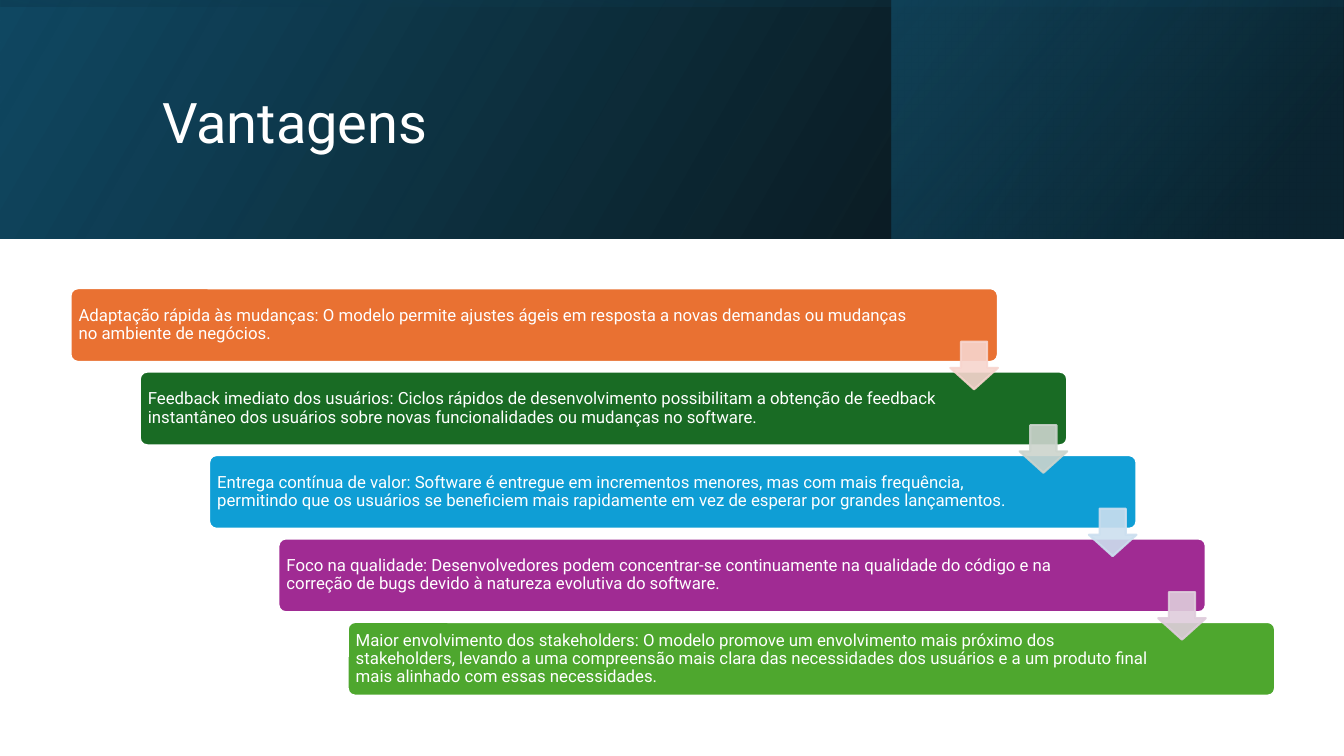
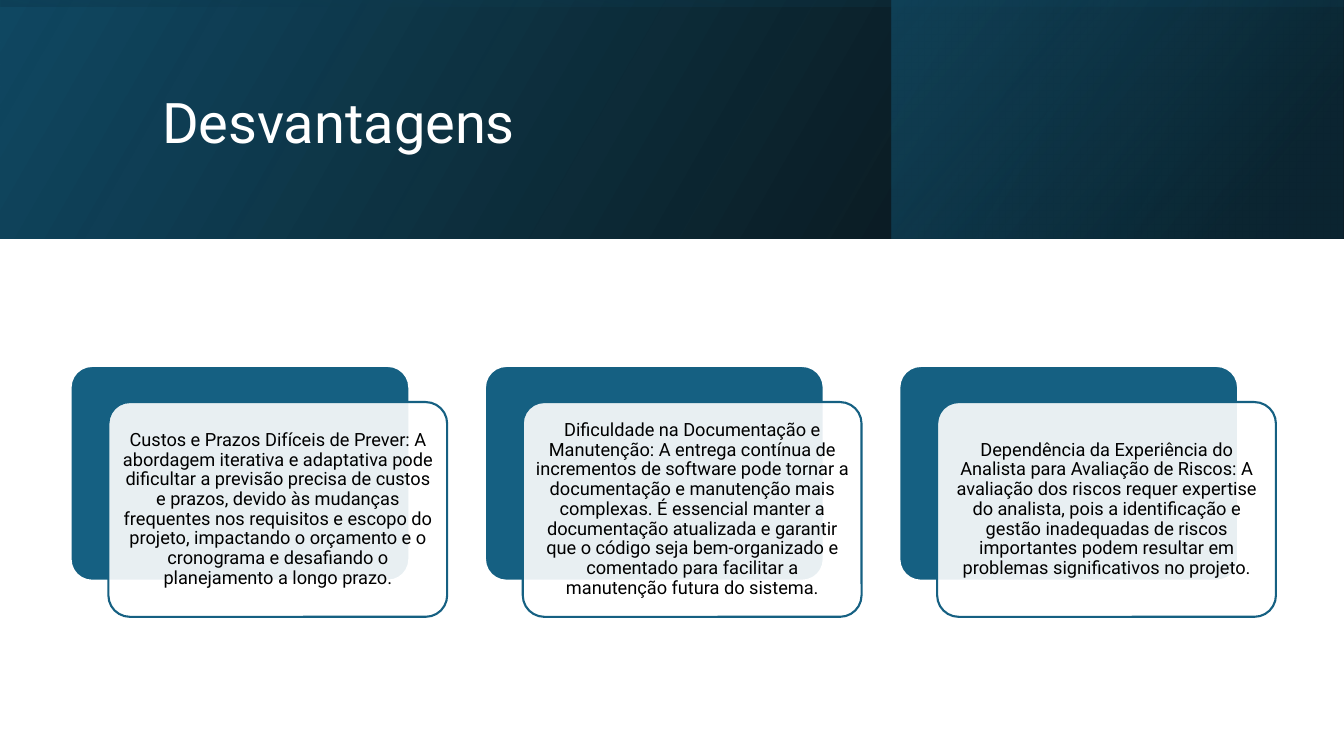
"""Builds two slides on the advantages and drawbacks of a software process model."""
import pptx
import pptx.dml.color
import pptx.enum.shapes
import pptx.enum.text
import pptx.oxml.ns
import pptx.util
import lxml.etree

Pt = pptx.util.Pt
RGBColor = pptx.dml.color.RGBColor
SHAPE = pptx.enum.shapes.MSO_SHAPE
ALIGN = pptx.enum.text.PP_ALIGN
qn = pptx.oxml.ns.qn

WHITE = RGBColor(0xFF, 0xFF, 0xFF)
BLACK = RGBColor(0x00, 0x00, 0x00)
NAVY = RGBColor(0x10, 0x48, 0x62)
DEEP_NAVY = RGBColor(0x0B, 0x30, 0x41)
TEAL = RGBColor(0x15, 0x60, 0x82)
ORANGE = RGBColor(0xE9, 0x71, 0x32)
DARK_GREEN = RGBColor(0x19, 0x6B, 0x24)
BLUE = RGBColor(0x0F, 0x9E, 0xD5)
PURPLE = RGBColor(0xA0, 0x2B, 0x93)
GREEN = RGBColor(0x4E, 0xA7, 0x2E)
PALE_ORANGE = RGBColor(0xF7, 0xD5, 0xCE)
PALE_GREEN = RGBColor(0xCC, 0xD4, 0xCD)
PALE_BLUE = RGBColor(0xCC, 0xDF, 0xEF)
PALE_PURPLE = RGBColor(0xDF, 0xCD, 0xDC)

FONT = "Roboto"
SLIDE_WIDTH, SLIDE_HEIGHT = 960, 540
HEADER_HEIGHT = 170.6
MARGIN = 50.4

BAR_WIDTH, BAR_HEIGHT = 662.4, 52.6
BAR_TOP, BAR_STEP_X, BAR_STEP_Y = 205.9, 49.5, 59.6
ARROW_SIZE, ARROW_DROP = 34, 38.2
CARD_WIDTH, CARD_HEIGHT = 242, 153.4
CARD_TOP, CARD_STEP = 261.4, 296
CARD_SHIFT_X, CARD_SHIFT_Y = 27, 25.8

ADVANTAGES = [
    (ORANGE, 62.5, "Adaptação rápida às mudanças: O modelo permite ajustes ágeis em resposta a "
     "novas demandas ou mudanças no ambiente de negócios."),
    (DARK_GREEN, 86.5, "Feedback imediato dos usuários: Ciclos rápidos de desenvolvimento "
     "possibilitam a obtenção de feedback instantâneo dos usuários sobre novas "
     "funcionalidades ou mudanças no software."),
    (BLUE, 86.5, "Entrega contínua de valor: Software é entregue em incrementos menores, mas com "
     "mais frequência, permitindo que os usuários se beneficiem mais rapidamente em vez de "
     "esperar por grandes lançamentos."),
    (PURPLE, 86.5, "Foco na qualidade: Desenvolvedores podem concentrar-se continuamente na "
     "qualidade do código e na correção de bugs devido à natureza evolutiva do software."),
    (GREEN, 86.5, "Maior envolvimento dos stakeholders: O modelo promove um envolvimento mais "
     "próximo dos stakeholders, levando a uma compreensão mais clara das necessidades dos "
     "usuários e a um produto final mais alinhado com essas necessidades."),
]
ARROW_COLORS = [PALE_ORANGE, PALE_GREEN, PALE_BLUE, PALE_PURPLE]
DRAWBACKS = [
    "Custos e Prazos Difíceis de Prever: A abordagem iterativa e adaptativa pode dificultar a "
    "previsão precisa de custos e prazos, devido às mudanças frequentes nos requisitos e escopo "
    "do projeto, impactando o orçamento e o cronograma e desafiando o planejamento a longo prazo.",
    "Dificuldade na Documentação e Manutenção: A entrega contínua de incrementos de software "
    "pode tornar a documentação e manutenção mais complexas. É essencial manter a documentação "
    "atualizada e garantir que o código seja bem-organizado e comentado para facilitar a "
    "manutenção futura do sistema.",
    "Dependência da Experiência do Analista para Avaliação de Riscos: A avaliação dos riscos "
    "requer expertise do analista, pois a identificação e gestão inadequadas de riscos "
    "importantes podem resultar em problemas significativos no projeto.",
]


def write_text(shape, text, size, color, align=ALIGN.LEFT, insets=(3.6, 3.6, 3.6, 3.6)):
    """Put one formatted, vertically centred paragraph into a shape."""
    frame = shape.text_frame
    frame.word_wrap = True
    frame.vertical_anchor = pptx.enum.text.MSO_ANCHOR.MIDDLE
    frame.margin_left, frame.margin_top, frame.margin_right, frame.margin_bottom = map(Pt, insets)
    paragraph = frame.paragraphs[0]
    paragraph.alignment = align
    paragraph.line_spacing = 0.9
    run = paragraph.add_run()
    run.text = text
    run.font.name = FONT
    run.font.size = Pt(size)
    run.font.color.rgb = color


def set_opacity(color_element, percent):
    """Make a colour element partly transparent."""
    alpha = lxml.etree.SubElement(color_element, qn("a:alpha"))
    alpha.set("val", str(percent * 1000))


class Deck:
    """Hold the presentation, its style and the current slide."""

    def __init__(self):
        """Start an empty widescreen presentation."""
        self.presentation = pptx.Presentation()
        self.presentation.slide_width = Pt(SLIDE_WIDTH)
        self.presentation.slide_height = Pt(SLIDE_HEIGHT)
        self.slide = None

    def start_slide(self, title):
        """Add a slide with the shaded header and its title."""
        self.slide = self.presentation.slides.add_slide(self.presentation.slide_layouts[6])
        middle = (SLIDE_WIDTH - HEADER_HEIGHT) / 2
        self.gradient_band(0, 0, SLIDE_WIDTH, HEADER_HEIGHT, 330,
                           [(0, BLACK, 96), (1, NAVY, 100)])
        self.gradient_band(636.6, 0, 322.8, HEADER_HEIGHT, 320,
                           [(0.19, DEEP_NAVY, 68), (1, TEAL, 48)])
        self.gradient_band(middle, -middle, HEADER_HEIGHT, SLIDE_WIDTH, 350,
                           [(0.23, NAVY, 16), (0.99, BLACK, 45)], rotation=270)
        box = self.slide.shapes.add_textbox(Pt(108.7), Pt(27.4), Pt(765.4), Pt(123.8))
        write_text(box, title, 40, WHITE, insets=(7.2, 3.6, 7.2, 3.6))

    def gradient_band(self, left, top, width, height, angle, stops, rotation=0):
        """Draw a mirrored rectangle with a two-stop gradient."""
        band = self.slide.shapes.add_shape(SHAPE.RECTANGLE, Pt(left), Pt(top),
                                           Pt(width), Pt(height))
        band.shadow.inherit = False
        band.rotation = rotation
        properties = band._element.spPr
        properties.find(qn("a:xfrm")).set("flipH", "1")
        band.fill.gradient()
        band.fill.gradient_angle = 360 - angle
        for stop, (position, color, _) in zip(band.fill.gradient_stops, stops):
            stop.position = position
            stop.color.rgb = color
        for element, (_, _, opacity) in zip(properties.iter(qn("a:srgbClr")), stops):
            set_opacity(element, opacity)
        band.line.fill.background()

    def solid_shape(self, kind, left, top, width, height, fill, line,
                    adjustments=(0.1,), fill_opacity=100, line_opacity=100):
        """Draw a filled and outlined preset shape."""
        shape = self.slide.shapes.add_shape(kind, Pt(left), Pt(top), Pt(width), Pt(height))
        shape.shadow.inherit = False
        for index, value in enumerate(adjustments):
            shape.adjustments[index] = value
        shape.fill.solid()
        shape.fill.fore_color.rgb = fill
        shape.line.color.rgb = line
        shape.line.width = Pt(1.5)
        colors = shape._element.spPr.iter(qn("a:srgbClr"))
        for element, opacity in zip(colors, (fill_opacity, line_opacity)):
            if opacity < 100:
                set_opacity(element, opacity)
        return shape

    def step_bar(self, row, color, right_inset, text):
        """Draw one bar of the staircase."""
        bar = self.solid_shape(SHAPE.ROUNDED_RECTANGLE, MARGIN + row * BAR_STEP_X,
                               BAR_TOP + row * BAR_STEP_Y, BAR_WIDTH, BAR_HEIGHT, color, WHITE)
        write_text(bar, text, 12, WHITE, insets=(4.2, 3.6, right_inset, 3.6))

    def step_arrow(self, row, color):
        """Draw the arrow that leads from one bar to the next."""
        left = MARGIN + BAR_WIDTH - ARROW_SIZE + row * BAR_STEP_X
        top = BAR_TOP + ARROW_DROP + row * BAR_STEP_Y
        self.solid_shape(SHAPE.DOWN_ARROW, left, top, ARROW_SIZE, ARROW_SIZE, color, color,
                         adjustments=(0.55, 0.45), fill_opacity=90, line_opacity=90)

    def card(self, column, text):
        """Draw a text card in front of a solid backing panel."""
        left = MARGIN + column * CARD_STEP
        self.solid_shape(SHAPE.ROUNDED_RECTANGLE, left, CARD_TOP, CARD_WIDTH, CARD_HEIGHT,
                         TEAL, WHITE)
        front = self.solid_shape(SHAPE.ROUNDED_RECTANGLE, left + CARD_SHIFT_X,
                                 CARD_TOP + CARD_SHIFT_Y, CARD_WIDTH, CARD_HEIGHT,
                                 WHITE, TEAL, fill_opacity=90)
        write_text(front, text, 13, BLACK, align=ALIGN.CENTER)


def main():
    """Build both slides and save the presentation."""
    deck = Deck()
    deck.start_slide("Vantagens")
    for row, (color, right_inset, text) in enumerate(ADVANTAGES):
        deck.step_bar(row, color, right_inset, text)
    for row, color in enumerate(ARROW_COLORS):
        deck.step_arrow(row, color)
    deck.start_slide("Desvantagens")
    for column, text in enumerate(DRAWBACKS):
        deck.card(column, text)
    deck.presentation.save("out.pptx")


if __name__ == "__main__":
    main()
